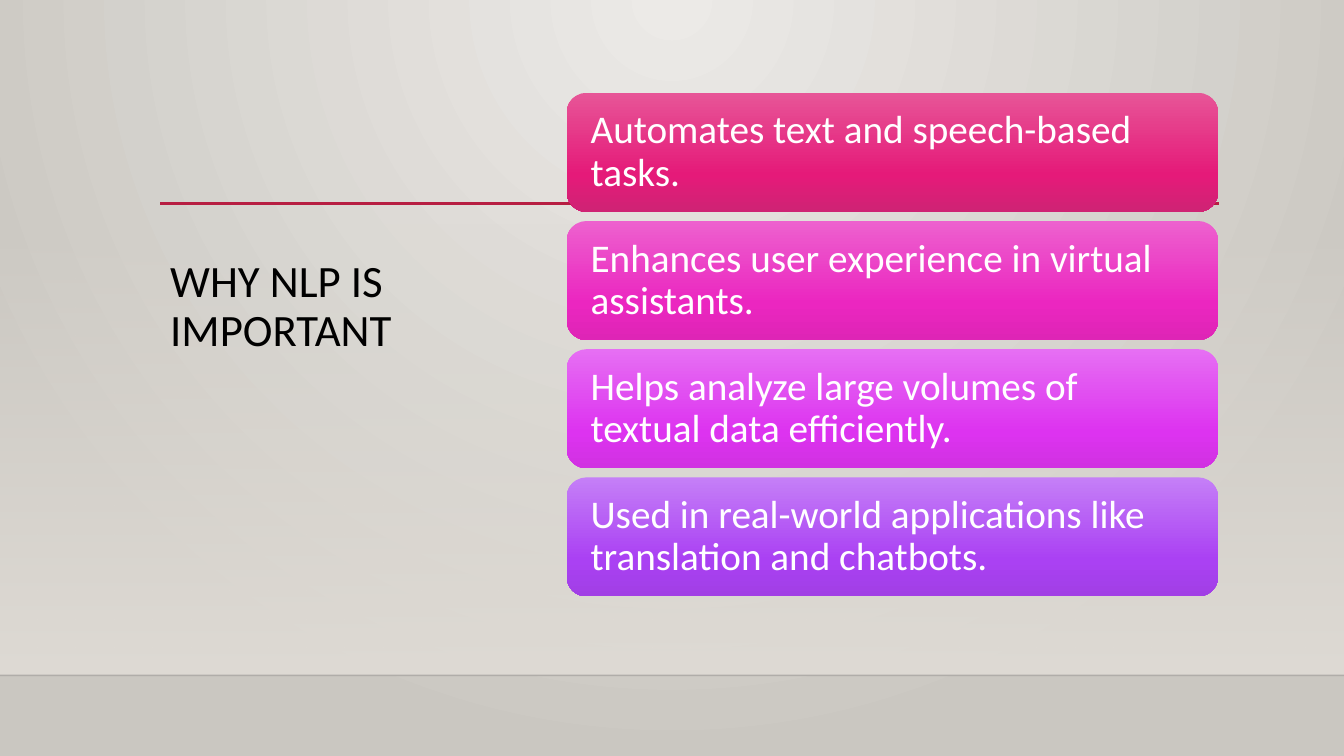
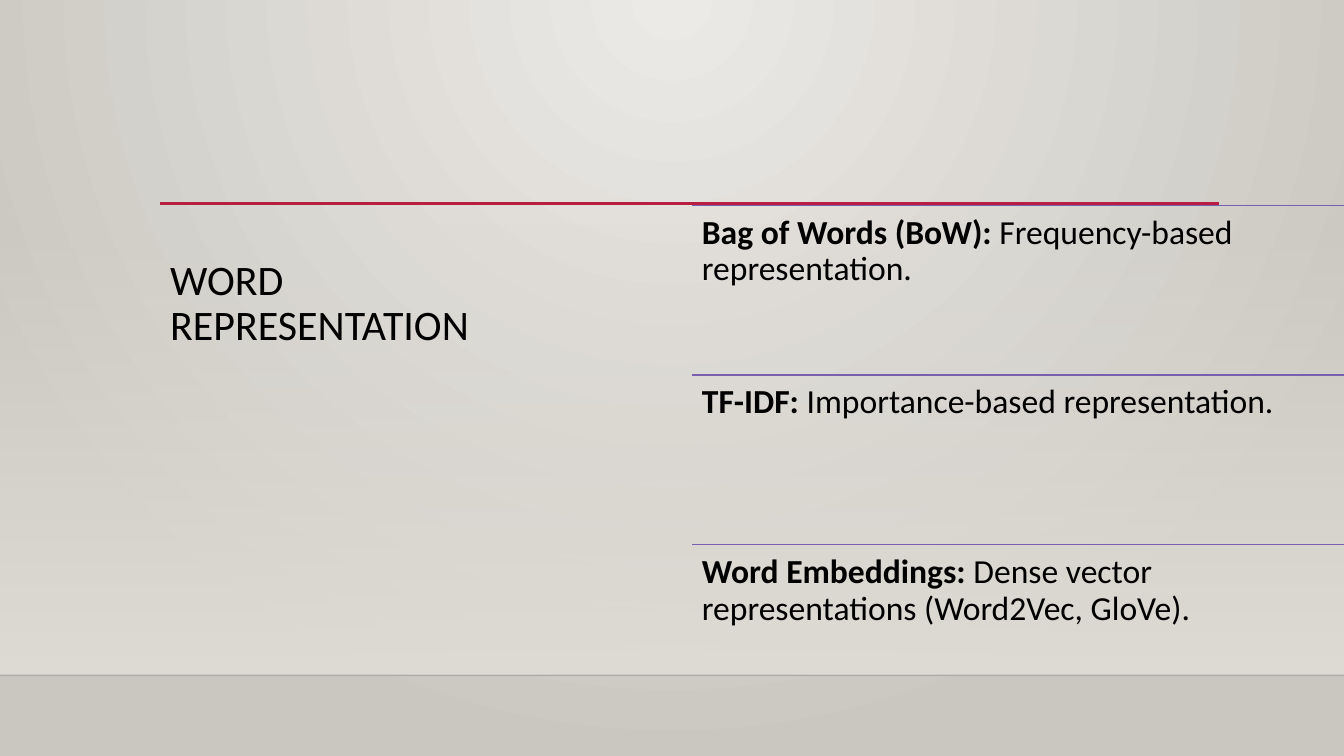
from lxml.etree import SubElement
from pptx import Presentation
from pptx.dml.color import RGBColor
from pptx.enum.shapes import MSO_CONNECTOR, MSO_SHAPE
from pptx.enum.text import MSO_ANCHOR
from pptx.oxml.ns import qn
from pptx.util import Cm, Pt

FONT = "Calibri"
SLIDE_WIDTH, SLIDE_HEIGHT = 33.87, 19.05
HORIZON_TOP = 17.02
COLORS = {
    "text": "000000",
    "card_text": "FFFFFF",
    "accent": "B71E42",
    "divider": "795FAF",
    "horizon": "000001",
    "wall": "DFDBD5",
    "background_light": "ECEAE7",
    "background_dark": "CAC7C1",
}

CARDS = [
    ("Automates text and speech-based tasks.", ("E75597", "E51A79", "CF2374")),
    ("Enhances user experience in virtual assistants.", ("ED61CE", "EB26C0", "DE25B6")),
    ("Helps analyze large volumes of textual data efficiently.",
     ("E66FF3", "DD33F0", "D131E2")),
    ("Used in real-world applications like translation and chatbots.",
     ("C57FF7", "AA41F3", "A13FE5")),
]
REPRESENTATIONS = [
    ("Bag of Words (BoW):", " Frequency-based representation."),
    ("TF-IDF:", " Importance-based representation."),
    ("Word Embeddings:", " Dense vector representations (Word2Vec, GloVe)."),
]


def rgb(name):
    return RGBColor.from_string(COLORS[name])


def add_alpha(color_element, percent):
    SubElement(color_element, qn("a:alpha")).set("val", str(percent * 1000))


def set_gradient(fill, properties, stops, radial=False):
    """Give a fill its stops: (percent, hex colour, opacity percent)."""
    fill.gradient()
    gradient = properties.find(qn("a:gradFill"))
    for child in list(gradient):
        gradient.remove(child)
    stop_list = SubElement(gradient, qn("a:gsLst"))
    for position, color, opacity in stops:
        stop = SubElement(stop_list, qn("a:gs"), pos=str(position * 1000))
        color_element = SubElement(stop, qn("a:srgbClr"), val=color)
        if opacity < 100:
            add_alpha(color_element, opacity)
    if radial:
        circle = SubElement(gradient, qn("a:path"), {"path": "circle"})
        SubElement(circle, qn("a:fillToRect"), l="43000", t="0", r="43000", b="100000")
    else:
        SubElement(gradient, qn("a:lin"), ang="5400000", scaled="0")


def set_background(master):
    fill = master.background.fill
    fill.gradient()
    properties = next(master.element.iter(qn("p:bgPr")))
    stops = [(0, COLORS["background_light"], 100), (100, COLORS["background_dark"], 100)]
    set_gradient(fill, properties, stops, radial=True)


def add_gradient_shape(slide, kind, left, top, width, height, stops):
    shape = slide.shapes.add_shape(kind, Cm(left), Cm(top), Cm(width), Cm(height))
    shape.shadow.inherit = False
    shape.line.fill.background()
    set_gradient(shape.fill, shape.element.spPr, stops)
    return shape


def add_rule(slide, left, right, top, color, weight, opacity=100):
    rule = slide.shapes.add_connector(
        MSO_CONNECTOR.STRAIGHT, Cm(left), Cm(top), Cm(right), Cm(top))
    rule.line.color.rgb = rgb(color)
    rule.line.width = Pt(weight)
    properties = rule.element.spPr
    if opacity < 100:
        add_alpha(next(properties.iter(qn("a:srgbClr"))), opacity)
    SubElement(properties, qn("a:effectLst"))


def write_text(shape, runs, size, color, inset, anchor=MSO_ANCHOR.TOP):
    """Fill a shape with one paragraph of (text, bold) runs."""
    frame = shape.text_frame
    frame.word_wrap = True
    frame.vertical_anchor = anchor
    frame.margin_left = frame.margin_right = Cm(inset[0])
    frame.margin_top = frame.margin_bottom = Cm(inset[1])
    paragraph = frame.paragraphs[0]
    paragraph.alignment = 1
    paragraph.line_spacing = 0.9
    paragraph.font.name = FONT
    paragraph.font.size = Pt(size)
    paragraph.font.color.rgb = rgb(color)
    for text, bold in runs:
        run = paragraph.add_run()
        run.text = text
        if bold:
            run.font.bold = True


def add_text(slide, left, top, width, height, runs, size, inset):
    box = slide.shapes.add_textbox(Cm(left), Cm(top), Cm(width), Cm(height))
    write_text(box, runs, size, "text", inset)


def add_base_slide(presentation, title, title_size):
    slide = presentation.slides.add_slide(presentation.slide_layouts[6])
    # Wall, horizon and accent rule
    wall = [(0, COLORS["wall"], 0), (100, COLORS["wall"], 100)]
    add_gradient_shape(slide, MSO_SHAPE.RECTANGLE, 0, 5.61, SLIDE_WIDTH,
                       HORIZON_TOP - 5.61, wall)
    add_rule(slide, 0, SLIDE_WIDTH, HORIZON_TOP, "horizon", 1, opacity=20)
    add_rule(slide, 4.04, 30.73, 5.13, "accent", 2.5)
    # Title
    add_text(slide, 4.04, 6.4, 9.1, 7.42, [(title, False)], title_size, (0.25, 0.13))
    return slide


def add_cards(slide):
    for index, (text, colors) in enumerate(CARDS):
        stops = [(position, color, 100) for position, color in zip((0, 69, 100), colors)]
        card = add_gradient_shape(slide, MSO_SHAPE.ROUNDED_RECTANGLE, 14.28,
                                  2.34 + index * 3.23, 16.42, 3, stops)
        write_text(card, [(text, False)], 28, "card_text", (0.46, 0.44), MSO_ANCHOR.MIDDLE)


def add_divided_list(slide):
    left, pitch = 17.44, 4.28
    for index, (term, meaning) in enumerate(REPRESENTATIONS):
        top = 5.17 + index * pitch
        add_rule(slide, left, SLIDE_WIDTH, top, "divider", 0.75)
        add_text(slide, left, top, SLIDE_WIDTH - left, pitch,
                 [(term, True), (meaning, False)], 24, (0.25, 0.25))


def main():
    presentation = Presentation()
    presentation.slide_width = Cm(SLIDE_WIDTH)
    presentation.slide_height = Cm(SLIDE_HEIGHT)
    set_background(presentation.slide_master)

    add_cards(add_base_slide(presentation, "WHY NLP IS IMPORTANT", 32))
    add_divided_list(add_base_slide(presentation, "WORD REPRESENTATION", 30))

    presentation.save("out.pptx")


if __name__ == "__main__":
    main()
